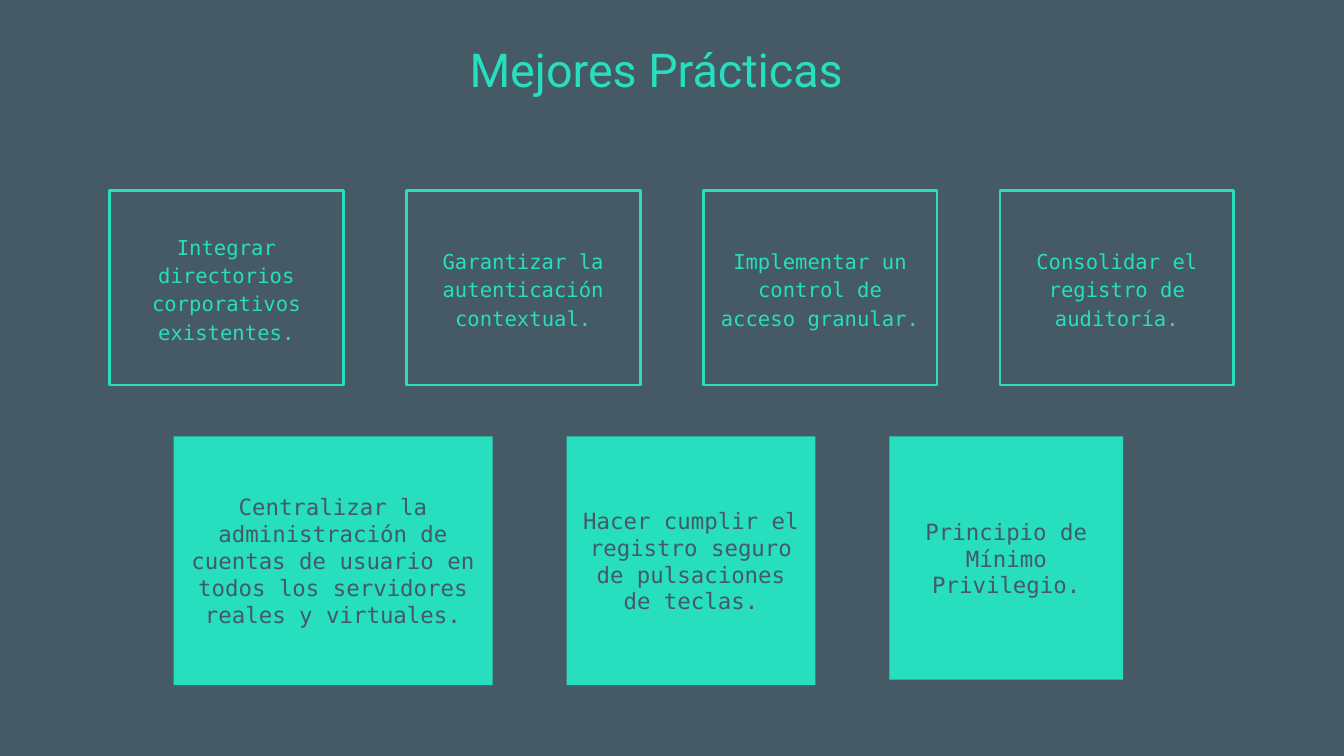
from pptx import Presentation
from pptx.dml.color import RGBColor
from pptx.enum.shapes import MSO_SHAPE
from pptx.enum.text import MSO_ANCHOR, PP_ALIGN
from pptx.util import Cm, Pt

COLORS = {"slate": "455A64", "mint": "27DEBF"}
TITLE_FONT = "Roboto"
BODY_FONT = "DejaVu Sans Mono"
INSET = 0.25

OUTLINED = [
    "Integrar directorios corporativos existentes.",
    "Garantizar la autenticación contextual.",
    "Implementar un control de acceso granular.",
    "Consolidar el registro de auditoría.",
]
FILLED = [
    ("Centralizar la administración de cuentas de usuario en todos los "
     "servidores reales y virtuales.", 6.03, 4.7),
    ("Hacer cumplir el registro seguro de pulsaciones de teclas.", 4.7, 4.7),
    ("Principio de Mínimo Privilegio.", 4.42, 4.6),
]


def color(name):
    return RGBColor.from_string(COLORS[name])


def write(sp, text, font, size, ink, anchor):
    tf = sp.text_frame
    tf.text = text
    tf.word_wrap = True
    tf.vertical_anchor = anchor
    tf.margin_left = tf.margin_right = Cm(INSET)
    tf.margin_top = tf.margin_bottom = Cm(INSET)
    p = tf.paragraphs[0]
    p.alignment = PP_ALIGN.CENTER
    r = p.runs[0]
    r.font.name = font
    r.font.size = Pt(size)
    r.font.color.rgb = color(ink)
    return p


def add_title(s, text):
    sp = s.shapes.title
    sp.left, sp.top, sp.width, sp.height = Cm(1.68), Cm(0.53), Cm(21.44), Cm(1.57)
    write(sp, text, TITLE_FONT, 25, "mint", MSO_ANCHOR.TOP)


def add_box(s, text, left, top, width, height, size, ink):
    sp = s.shapes.add_shape(
        MSO_SHAPE.RECTANGLE, Cm(left), Cm(top), Cm(width), Cm(height))
    sp.shadow.inherit = False
    return sp, write(sp, text, BODY_FONT, size, ink, MSO_ANCHOR.MIDDLE)


def add_outlined_box(s, text, left):
    sp, p = add_box(s, text, left, 3.6, 4.42, 3.68, 11, "mint")
    sp.fill.background()
    sp.line.color.rgb = color("mint")
    sp.line.width = Pt(1.5)
    p.line_spacing = 1.15
    p.space_after = Pt(12)


def add_filled_box(s, text, left, width, height):
    sp, _ = add_box(s, text, left, 8.25, width, height, 12, "slate")
    sp.fill.solid()
    sp.fill.fore_color.rgb = color("mint")
    sp.line.fill.background()


def main():
    prs = Presentation()
    prs.slide_width, prs.slide_height = Cm(25.4), Cm(14.29)
    s = prs.slides.add_slide(prs.slide_layouts[5])
    s.background.fill.solid()
    s.background.fill.fore_color.rgb = color("slate")

    add_title(s, "Mejores Prácticas")
    for i, text in enumerate(OUTLINED):
        add_outlined_box(s, text, 2.07 + i * 5.61)
    left = 3.28
    for text, width, height in FILLED:
        add_filled_box(s, text, left, width, height)
        left += width + 1.4

    prs.save("out.pptx")


if __name__ == "__main__":
    main()
